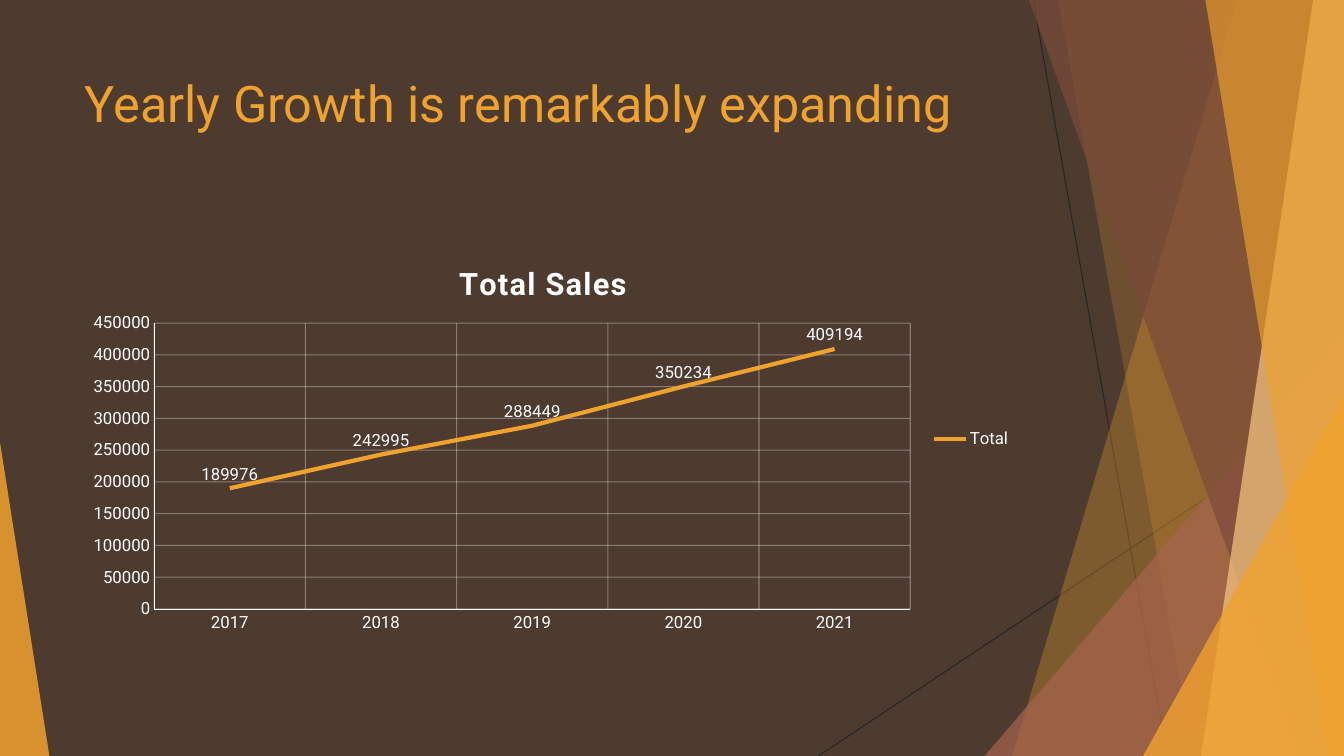
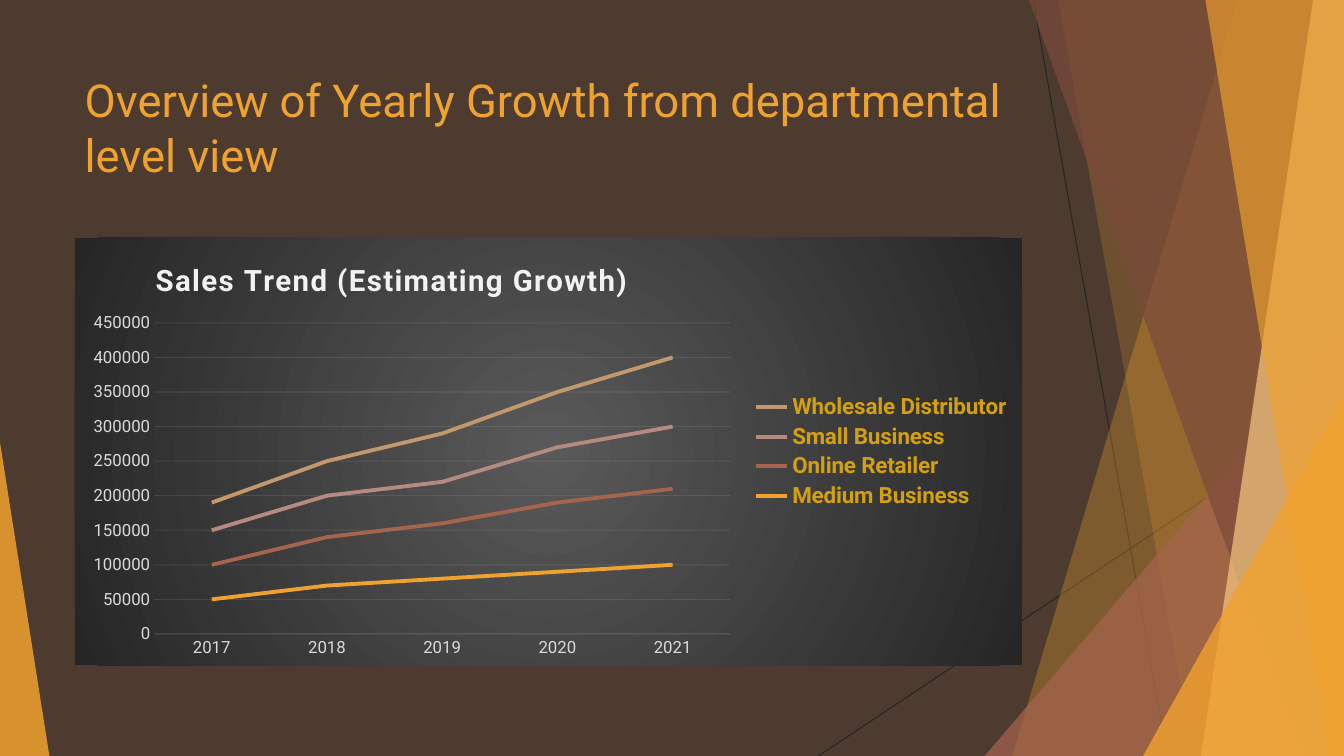
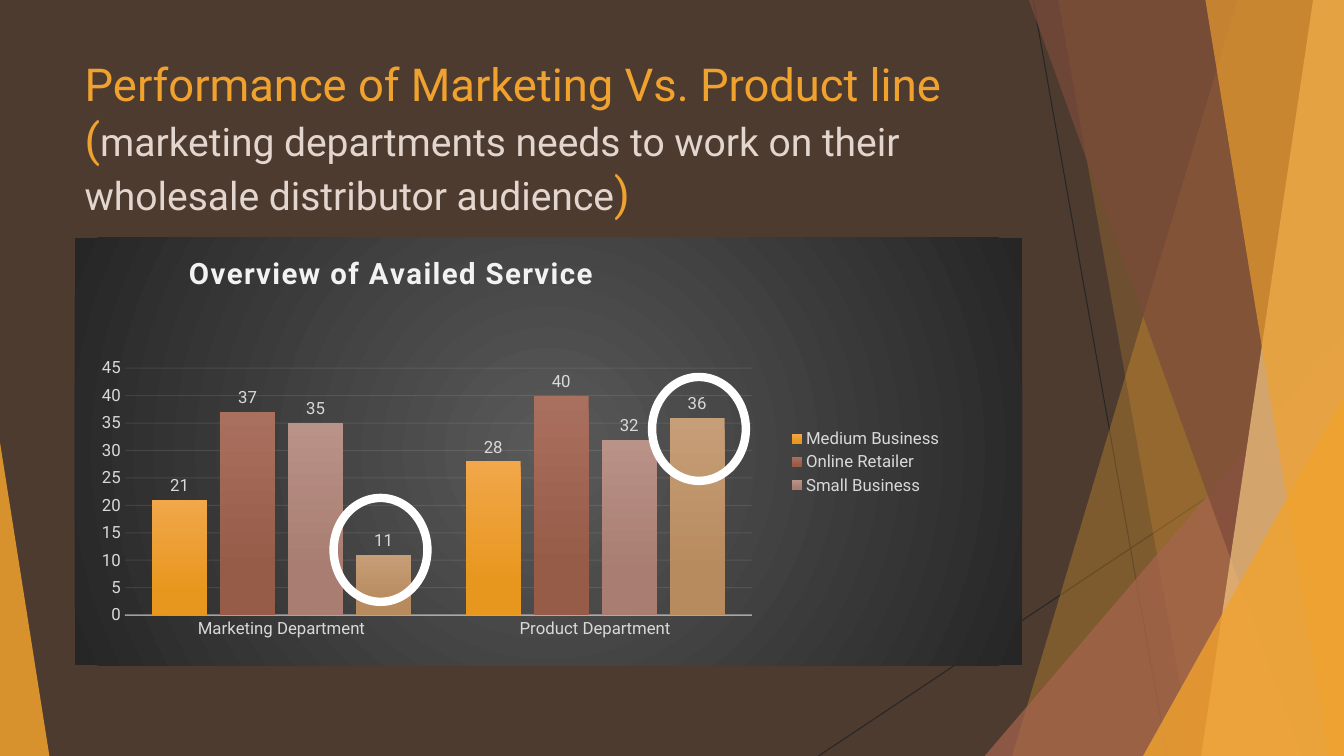
from lxml.etree import SubElement
from pptx import Presentation
from pptx.chart.data import CategoryChartData
from pptx.dml.color import RGBColor
from pptx.enum.chart import (XL_CHART_TYPE, XL_LABEL_POSITION,
                             XL_LEGEND_POSITION, XL_TICK_MARK)
from pptx.enum.shapes import MSO_CONNECTOR, MSO_SHAPE
from pptx.enum.text import MSO_ANCHOR, MSO_AUTO_SIZE, PP_ALIGN
from pptx.oxml import parse_xml
from pptx.oxml.ns import nsdecls, qn
from pptx.util import Pt

WIDE, HIGH = 960, 540
FONT = "Roboto"
HUES = {
    "back": "4E3B30", "gold": "F0A22E", "rust": "A5644E", "brown": "7C4B3B",
    "cream": "F6C782", "rose": "B58B80", "tan": "C3986D", "ink": "262626",
    "white": "FFFFFF", "mist": "F2F2F2", "grey": "D9D9D9", "slate": "595959",
    "sand": "E2D6CF", "ochre": "D2A010",
}
# Top and bottom colour of each bar
FADES = [("F1A74A", "E8971E"), ("AA705F", "975C47"),
         ("B99288", "A97D71"), ("C69E78", "B88B5E")]
YEARS = ["2017", "2018", "2019", "2020", "2021"]
TITLE = (53.3, 48.2, 676.8, 103.7)
CHART = (53.3, 169.9, 676.8, 305.3)


# Helpers
def rgb(hue):
    return RGBColor.from_string(HUES.get(hue, hue))


def put(item, **vals):
    for name, val in vals.items():
        setattr(item, name, val)


def pen(font, size, hue, bold=False):
    put(font, name=FONT, size=Pt(size), bold=bold)
    font.color.rgb = rgb(hue)


def paint(fill, hue, alpha=100):
    fill.solid()
    fill.fore_color.rgb = rgb(hue)
    if alpha < 100:
        for node in fill._xPr.iter(qn("a:srgbClr")):
            SubElement(node, qn("a:alpha"), val=str(alpha * 1000))


def rule(line, hue, width, alpha=100):
    line.width = Pt(width)
    paint(line.fill, hue, alpha)


def place(host, after, box, inner=False):
    """Give a chart part a manual layout, in fractions of the chart."""
    old = host.find(qn("c:layout"))
    if old is not None:
        host.remove(old)
    spot = host.index(host.find(qn(after))) + 1 if after else 0
    tags = '<c:layoutTarget val="inner"/>' if inner else ""
    tags += '<c:xMode val="edge"/><c:yMode val="edge"/>'
    tags += "".join(f'<c:{key} val="{val}"/>' for key, val in zip("xywh", box))
    host.insert(spot, parse_xml(
        f'<c:layout {nsdecls("c")}><c:manualLayout>{tags}'
        "</c:manualLayout></c:layout>"))


# Shared backdrop, kept on the layout
def backdrop(layout, slide):
    paint(layout.background.fill, "back")
    shapes, tree = slide.shapes, layout.shapes._spTree

    def keep(shape):
        tree.append(shape._element)

    def tone(shape, hue, alpha):
        shape.shadow.inherit = False
        shape.line.fill.background()
        paint(shape.fill, hue, alpha)
        keep(shape)

    def line(*ends):
        link = shapes.add_connector(MSO_CONNECTOR.STRAIGHT, *map(Pt, ends))
        rule(link.line, "ink", 0.75)
        SubElement(link._element.spPr, qn("a:effectLst"))
        keep(link)

    def band(top, foot, hue, alpha):
        pen_up = shapes.build_freeform(top, 0, scale=Pt(1))
        pen_up.add_line_segments([(WIDE, 0), (WIDE, HIGH), (foot, HIGH)])
        tone(pen_up.convert_to_shape(), hue, alpha)

    def wedge(x, y, width, tip, hue, alpha):
        shape = shapes.add_shape(MSO_SHAPE.ISOSCELES_TRIANGLE,
                                 *map(Pt, (x, y, width, HIGH - y)))
        shape.adjustments[0] = tip
        tone(shape, hue, alpha)

    line(738, 0, 833.8, HIGH)
    line(WIDE, 290.2, 584.6, HIGH)
    band(884.2, 722.9, "gold", 30)
    band(756, 851.8, "gold", 20)
    wedge(703.4, 239.8, 256.6, 1, "rust", 72)
    band(735.1, 929.5, "brown", 70)
    band(938.2, 858.2, "cream", 70)
    band(861.1, 949, "gold", 65)
    wedge(816.5, 283, 143.5, 1, "gold", 80)
    wedge(0, 316.1, 35.3, 0, "gold", 85)


def heading(slide, parts, box=TITLE):
    title = slide.shapes.title
    put(title, **dict(zip(("left", "top", "width", "height"), map(Pt, box))))
    frame = title.text_frame
    put(frame, word_wrap=True, auto_size=MSO_AUTO_SIZE.NONE,
        vertical_anchor=MSO_ANCHOR.TOP)
    para = frame.paragraphs[0]
    para.alignment = PP_ALIGN.LEFT
    for text, size, hue in parts:
        if text == "\n":
            para.add_line_break()
            SubElement(para._p[-1], qn("a:rPr"), sz=str(round(size * 100)))
            continue
        run = para.add_run()
        run.text = text
        pen(run.font, size, hue)


# Charts
def graph(slide, kind, cats, rows, box, plot):
    data = CategoryChartData()
    data.categories = cats
    for name, vals in rows:
        data.add_series(name, vals)
    chart = slide.shapes.add_chart(kind, *map(Pt, box), data).chart
    pen(chart.font, 10, "white")
    place(chart._chartSpace.chart.plotArea, None, plot, True)
    chart.plots[0].vary_by_categories = False
    return chart


def name(chart, text, size, hue, spot):
    frame = chart.chart_title.text_frame
    frame.text = text
    font = frame.paragraphs[0].runs[0].font
    pen(font, size, hue, True)
    font._element.set("spc", "100")
    chart.chart_title.include_in_layout = False
    place(chart.chart_title._element, "c:tx", spot)


def axes(chart, hue, top, step):
    for axis in (chart.category_axis, chart.value_axis):
        put(axis, major_tick_mark=XL_TICK_MARK.NONE,
            minor_tick_mark=XL_TICK_MARK.NONE)
        pen(axis.tick_labels.font, 12, hue)
    put(chart.value_axis, minimum_scale=0, maximum_scale=top, major_unit=step)


def grid(axis, hue, alpha):
    axis.has_major_gridlines = True
    rule(axis.major_gridlines.format.line, hue, 0.75, alpha)


def legend(chart, size, hue, bold=False):
    chart.has_legend = True
    put(chart.legend, position=XL_LEGEND_POSITION.RIGHT,
        include_in_layout=False)
    pen(chart.legend.font, size, hue, bold)


def labels(item, hue, spot):
    tags = item.data_labels
    put(tags, show_value=True, position=spot)
    pen(tags.font, 12, hue)


def strokes(chart, hues, width):
    for row, hue in zip(chart.plots[0].series, hues):
        row.smooth = False
        rule(row.format.line, hue, width)


def dark(chart, alpha, width):
    """Dark radial panel with faint grid lines."""
    stops = "".join(
        f'<a:gs pos="{pos}"><a:srgbClr val="{HUES[hue]}"/></a:gs>'
        for pos, hue in ((0, "slate"), (100000, "ink")))
    rect = " ".join(f'{side}="50000"' for side in "ltrb")
    chart._chartSpace.chart.addnext(parse_xml(
        f'<c:spPr {nsdecls("c", "a")}><a:gradFill><a:gsLst>{stops}</a:gsLst>'
        f'<a:path path="circle"><a:fillToRect {rect}/></a:path></a:gradFill>'
        "<a:ln><a:noFill/></a:ln></c:spPr>"))
    grid(chart.value_axis, "mist", 10)
    chart.value_axis.format.line.fill.background()
    rule(chart.category_axis.format.line, "mist", width, alpha)


# Slides
def total(slide, box):
    heading(slide, [("Yearly Growth is remarkably expanding", 36, "gold")])
    chart = graph(slide, XL_CHART_TYPE.LINE, YEARS,
                  [("Total", (189976, 242995, 288449, 350234, 409194))],
                  (*box[:3], 287.3), (0.084, 0.212, 0.798, 0.711))
    name(chart, "Total Sales", 22, "white", (0.4, 0.05))
    axes(chart, "white", 450000, 50000)
    for axis in (chart.category_axis, chart.value_axis):
        grid(axis, "white", 32)
        rule(axis.format.line, "white", 0.25)
    strokes(chart, ["gold"], 3)
    labels(chart.plots[0].series[0], "white", XL_LABEL_POSITION.ABOVE)
    legend(chart, 12, "white")


def trend(slide, box):
    heading(slide, [("Overview of Yearly Growth from departmental level view",
                     32.4, "gold")])
    rows = [
        ("Medium Business", (50000, 70000, 80000, 90000, 100000)),
        ("Online Retailer", (50000, 70000, 80000, 100000, 110000)),
        ("Small Business", (50000, 60000, 60000, 80000, 90000)),
        ("Wholesale Distributor", (40000, 50000, 70000, 80000, 100000)),
    ]
    chart = graph(slide, XL_CHART_TYPE.LINE_STACKED, YEARS, rows, box,
                  (0.084, 0.199, 0.608, 0.728))
    name(chart, "Sales Trend (Estimating Growth)", 21, "mist", (0.08, 0.04))
    axes(chart, "grey", 450000, 50000)
    dark(chart, 10, 0.75)
    strokes(chart, ["gold", "rust", "rose", "tan"], 2.75)
    legend(chart, 16, "ochre", True)


def service(slide, box):
    heading(slide, [
        ("Performance of Marketing Vs. Product line", 32.4, "gold"),
        ("\n", 32.4, "gold"),
        ("(", 32.4, "gold"),
        ("marketing departments needs to work on their wholesale distributor"
         " audience", 27.9, "sand"),
        (")", 32.4, "gold"),
    ], (TITLE[0], 36.7, TITLE[2], 115.2))
    rows = [("Medium Business", (21, 28)), ("Online Retailer", (37, 40)),
            ("Small Business", (35, 32)), ("Wholesale Distributor", (11, 36))]
    chart = graph(slide, XL_CHART_TYPE.COLUMN_CLUSTERED,
                  ["Marketing Department", "Product Department"], rows, box,
                  (0.053, 0.305, 0.662, 0.578))
    name(chart, "Overview of Availed Service", 21, "mist", (0.115, 0.025))
    axes(chart, "grey", 45, 5)
    dark(chart, 54, 1)
    put(chart.plots[0], gap_width=100, overlap=-24)
    for row, fade in zip(chart.plots[0].series, FADES):
        fill = row.format.fill
        fill.gradient()
        fill.gradient_angle = 270
        for stop, hue, pos in zip(fill.gradient_stops, fade, (0, 0.78)):
            stop.color.rgb = rgb(hue)
            stop.position = pos
        labels(row, "grey", XL_LABEL_POSITION.OUTSIDE_END)

    # Legend without its last entry
    legend(chart, 12, "grey")
    key = chart.legend._element
    place(key, "c:legendPos", (0.75, 0.44, 0.17, 0.17))
    key.find(qn("c:legendPos")).addnext(parse_xml(
        f'<c:legendEntry {nsdecls("c")}><c:idx val="3"/><c:delete val="1"/>'
        "</c:legendEntry>"))

    # Rings round the wholesale bars
    for x, y in ((185, 185.8), (412.5, 99.4)):
        ring = slide.shapes.add_shape(
            MSO_SHAPE.OVAL, *map(Pt, (box[0] + x, box[1] + y, 67, 74.2)))
        ring.shadow.inherit = False
        ring.fill.background()
        rule(ring.line, "white", 6)


deck = Presentation()
put(deck, slide_width=Pt(WIDE), slide_height=Pt(HIGH))
base = deck.slide_layouts[5]
for make in (total, trend, service):
    page = deck.slides.add_slide(base)
    if make is total:
        backdrop(base, page)
    make(page, CHART)
deck.save("out.pptx")
